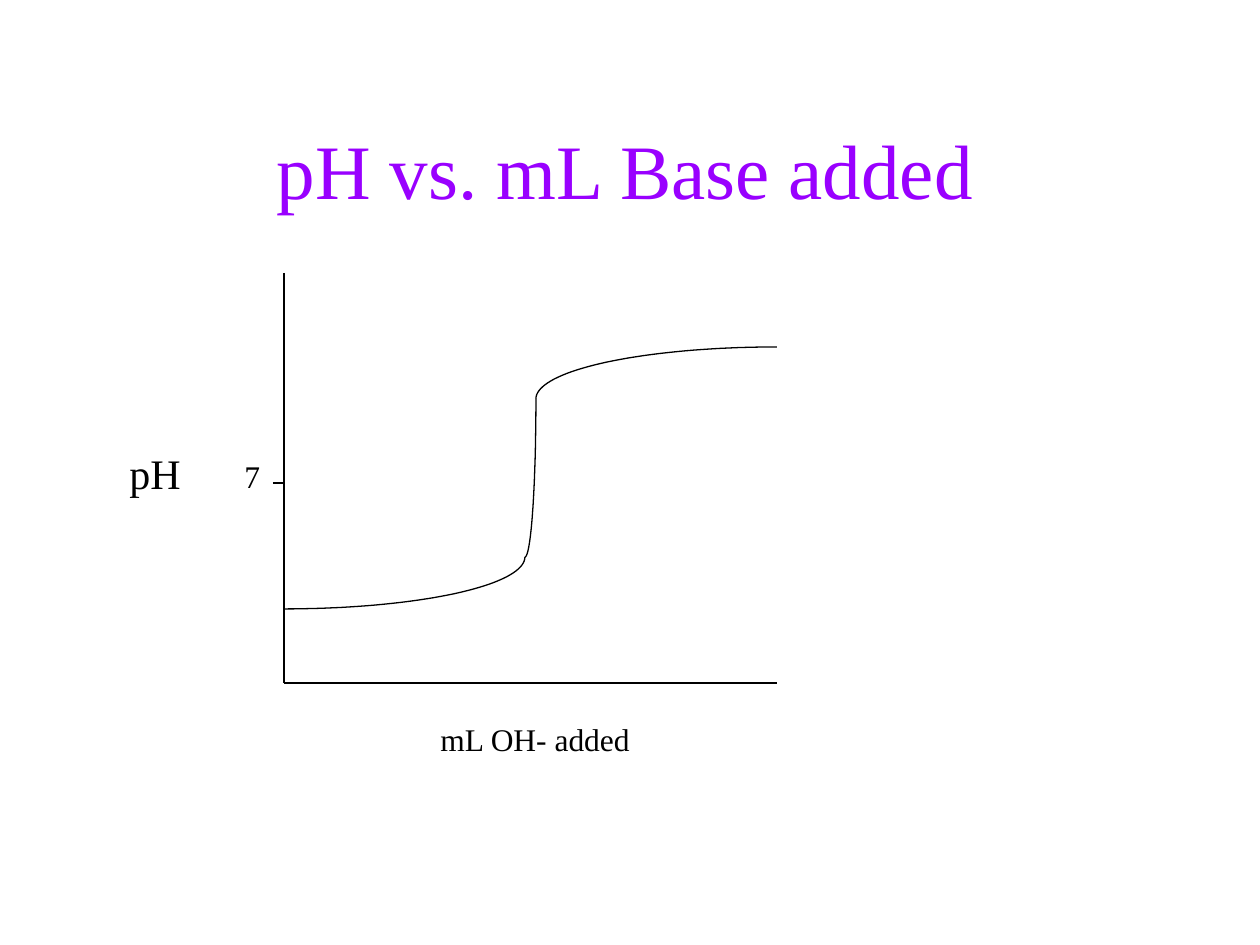
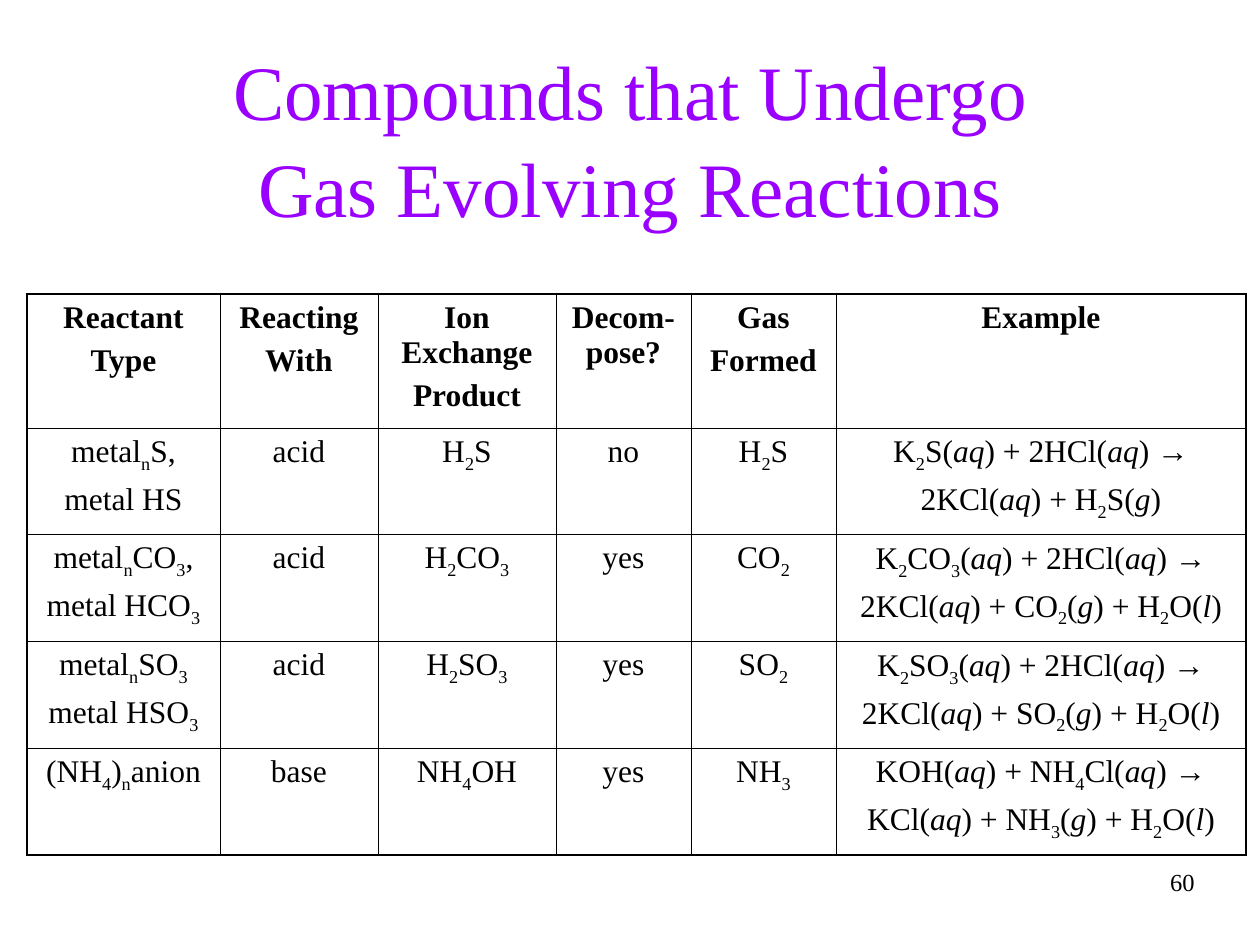
import math

import pptx
import pptx.dml.color
import pptx.enum.shapes
import pptx.enum.text
import pptx.oxml
import pptx.oxml.ns
import pptx.oxml.xmlchemy
import pptx.util

SCALE = 914400 / 126
WIDTH, HEIGHT = 1260, 945
BLACK = pptx.dml.color.RGBColor(0x00, 0x00, 0x00)
PURPLE = pptx.dml.color.RGBColor(0x99, 0x00, 0xFF)
SERIF, SANS = "Times New Roman", "Arial"
THIN, THICK, STROKE = 0.45, 1.08, 0.75
ALIGN = pptx.enum.text.PP_ALIGN
ANCHOR = pptx.enum.text.MSO_ANCHOR

COLS = [193, 158, 178, 135, 145, 410]
ROWS = [134] + [106, 107] * 2
CELLS = [
    ["Reactant|Type", "Reacting|With", "Ion Exchange|Product",
     "Decom-pose?", "Gas|Formed", "Example"],
    ["metal_n_S,|metal HS", "acid", "H_2_S", "no", "H_2_S",
     "K_2_S(*aq*) + 2HCl(*aq*) →|2KCl(*aq*) + H_2_S(*g*)"],
    ["metal_n_CO_3_,|metal HCO_3_", "acid", "H_2_CO_3_", "yes", "CO_2_",
     "K_2_CO_3_(*aq*) + 2HCl(*aq*) →|2KCl(*aq*) + CO_2_(*g*) + H_2_O(*l*)"],
    ["metal_n_SO_3_|metal HSO_3_", "acid", "H_2_SO_3_", "yes", "SO_2_",
     "K_2_SO_3_(*aq*) + 2HCl(*aq*) →|2KCl(*aq*) + SO_2_(*g*) + H_2_O(*l*)"],
    ["(NH_4_)_n_anion", "base", "NH_4_OH", "yes", "NH_3_",
     "KOH(*aq*) + NH_4_Cl(*aq*) →|KCl(*aq*) + NH_3_(*g*) + H_2_O(*l*)"],
]


def px(count):
    return pptx.util.Emu(round(count * SCALE))


def split(text):
    sub = slant = False
    part = ""
    for char in text + "_":
        if char in "_*→":
            if part:
                yield part, sub, slant
            part = ""
        if char == "_":
            sub = not sub
        elif char == "*":
            slant = not slant
        elif char == "→":
            yield char, sub, slant
        else:
            part += char


class Deck:
    def __init__(self):
        self.file = pptx.Presentation()
        self.file.slide_width = px(WIDTH)
        self.file.slide_height = px(HEIGHT)
        self.slide = None

    def page(self):
        self.slide = self.file.slides.add_slide(self.file.slide_layouts[6])

    def run(self, para, text, size, color=BLACK, bold=False, slant=False, sub=False):
        run = para.add_run()
        run.text = text
        font = run.font
        font.name = SANS if text == "→" else SERIF
        font.size = pptx.util.Pt(size)
        font.color.rgb = color
        font.bold = bold
        font.italic = slant
        if sub:
            font._element.set("baseline", "-25000")

    def text(self, box, text, size, align=ALIGN.LEFT, wrap=False, color=BLACK):
        frame = self.slide.shapes.add_textbox(*map(px, box)).text_frame
        frame.word_wrap = wrap
        para = frame.paragraphs[0]
        para.alignment = align
        for index, line in enumerate(text.split("\n")):
            if index:
                para.add_line_break()
            self.run(para, line, size, color)
        return frame

    def title(self, box, text):
        frame = self.text(box, text, 44, ALIGN.CENTER, True, PURPLE)
        frame.vertical_anchor = ANCHOR.MIDDLE
        frame.margin_top, frame.margin_bottom = px(7), 0
        frame.paragraphs[0].line_spacing = 1.05

    def ink(self, shape):
        shape.line.color.rgb = BLACK
        shape.line.width = pptx.util.Pt(STROKE)

    def line(self, start, end):
        kind = pptx.enum.shapes.MSO_CONNECTOR.STRAIGHT
        line = self.slide.shapes.add_connector(kind, *map(px, start + end))
        self.ink(line)
        flat = pptx.oxml.xmlchemy.OxmlElement("a:effectLst")
        line._element.spPr.append(flat)

    def arc(self, start, end, steps=40):
        (left, top), (right, low) = start, end
        turns = [math.pi / 2 * step / steps for step in range(steps + 1)]
        dots = [(px(left + (right - left) * math.sin(turn)),
                 px(low + (top - low) * math.cos(turn))) for turn in turns]
        pen = self.slide.shapes.build_freeform(*dots[0])
        pen.add_line_segments(dots[1:], close=False)
        shape = pen.convert_to_shape()
        shape.shadow.inherit = False
        shape.fill.background()
        self.ink(shape)

    def edge(self, cell, side, width):
        props = cell._tc.get_or_add_tcPr()
        line = pptx.oxml.parse_xml(
            f'<a:ln{side} {pptx.oxml.ns.nsdecls("a")} w="{round(width * 12700)}">'
            f'<a:solidFill><a:srgbClr val="{BLACK}"/></a:solidFill></a:ln{side}>')
        props.append(line)

    def cell(self, cell, text, bold):
        frame = cell.text_frame
        for index, part in enumerate(text.split("|")):
            para = frame.add_paragraph() if index else frame.paragraphs[0]
            para.alignment = ALIGN.CENTER
            para.space_before = pptx.util.Pt(4.5)
            for chunk, sub, slant in split(part):
                self.run(para, chunk, 18, bold=bold, slant=slant, sub=sub)

    def table(self, left, top, cols, rows, cells):
        box = map(px, (left, top, sum(cols), sum(rows)))
        grid = self.slide.shapes.add_table(len(rows), len(cols), *box).table
        grid.first_row = grid.horz_banding = False
        for col, width in zip(grid.columns, cols):
            col.width = px(width)
        for row, height in zip(grid.rows, rows):
            row.height = px(height)
        for r, texts in enumerate(cells):
            for c, text in enumerate(texts):
                cell = grid.cell(r, c)
                self.cell(cell, text, r == 0)
                outer = {"L": c == 0, "R": c == len(cols) - 1,
                         "T": r == 0, "B": r == len(rows) - 1}
                for side, rim in outer.items():
                    self.edge(cell, side, THICK if rim else THIN)
                cell.fill.background()


def curve(deck):
    deck.page()
    deck.title((42, 84, 1166, 158), "pH vs. mL Base added")
    root, far = (284, 683), (777, 683)
    deck.line((284, 273), root)
    deck.line(root, far)
    deck.text((117, 441, 77, 63), "pH", 24)
    deck.text((428, 714, 215, 50), "mL OH- added", 18)
    low, high = (525, 557), (536, 399)
    deck.arc((284, 609), low)
    deck.arc((777, 347), high)
    deck.arc(low, high)
    deck.line((273, 483), (284, 483))
    deck.text((232, 451, 40, 50), "7", 18)


def gases(deck):
    deck.page()
    deck.text((945, 861, 262, 63), "60", 14, ALIGN.RIGHT, True)
    deck.title((95, 53, 1071, 158), "Compounds that Undergo\nGas Evolving Reactions")
    deck.table(27, 294, COLS, ROWS, CELLS)


def main():
    deck = Deck()
    curve(deck)
    gases(deck)
    deck.file.save("out.pptx")


if __name__ == "__main__":
    main()
